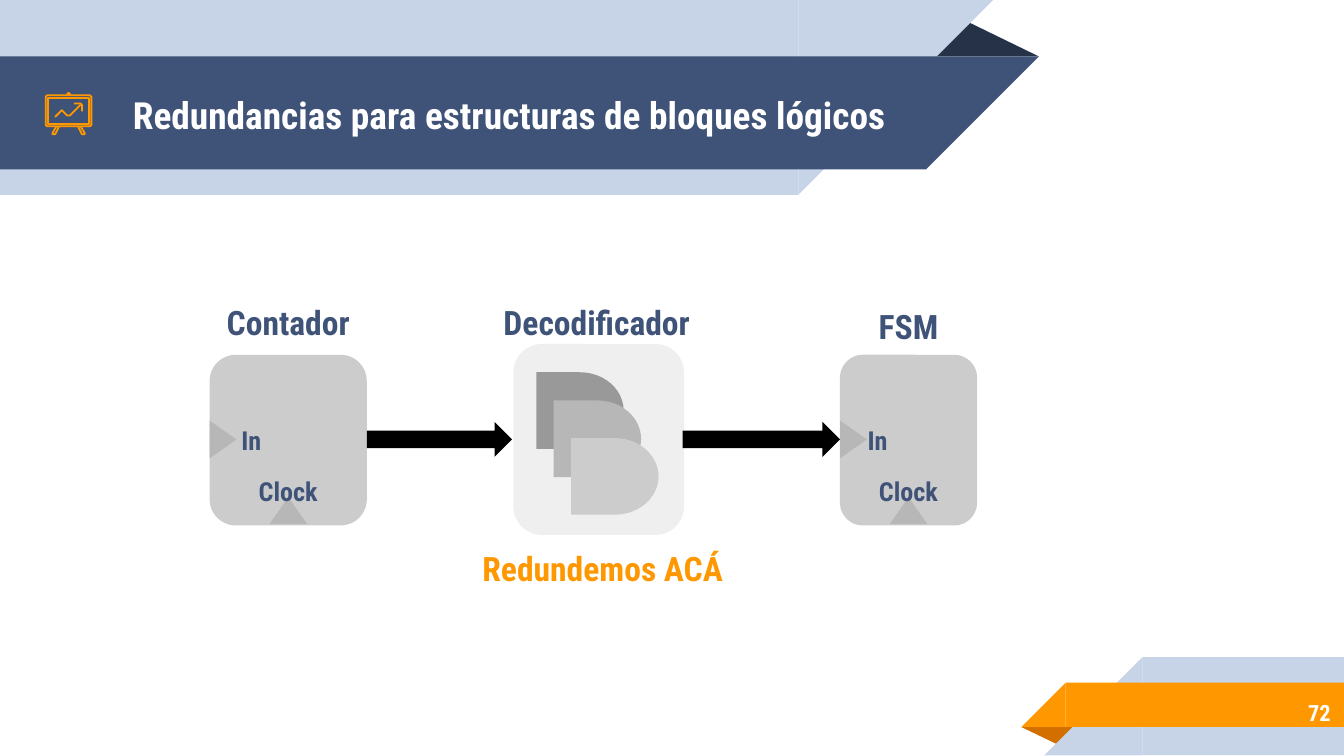
from dataclasses import dataclass

import pptx
import pptx.dml.color
import pptx.enum.shapes
import pptx.enum.text
import pptx.util

Inches = pptx.util.Inches
Kind = pptx.enum.shapes.MSO_SHAPE
Align = pptx.enum.text.PP_ALIGN


@dataclass(frozen=True)
class Theme:
    font: str = "Roboto Condensed"
    navy: str = "3F5378"
    dark_navy: str = "263248"
    pale_blue: str = "C7D3E6"
    orange: str = "FF9800"
    dark_orange: str = "D26F00"
    white: str = "FFFFFF"
    black: str = "000000"
    panel: str = "EFEFEF"
    block: str = "CCCCCC"
    pin: str = "B7B7B7"
    back_gate: str = "999999"
    title_size: int = 20
    heading_size: int = 18
    pin_size: int = 14
    number_size: int = 12
    icon_line: float = 0.96


THEME = Theme()


def rgb(color):
    return pptx.dml.color.RGBColor.from_string(color)


def add_filled(page, kind, left, top, width, height, color, rotation=0, adjust=None):
    shape = page.shapes.add_shape(
        kind, Inches(left), Inches(top), Inches(width), Inches(height))
    shape.shadow.inherit = False
    shape.fill.solid()
    shape.fill.fore_color.rgb = rgb(color)
    shape.line.fill.background()
    shape.rotation = rotation
    if adjust is not None:
        shape.adjustments[0] = adjust
    return shape


def add_text(page, text, left, top, width, height=0.35, *, size=THEME.heading_size,
             color=THEME.navy, align=Align.CENTER):
    box = page.shapes.add_textbox(
        Inches(left), Inches(top), Inches(width), Inches(height))
    frame = box.text_frame
    frame.word_wrap = True
    frame.vertical_anchor = pptx.enum.text.MSO_ANCHOR.MIDDLE
    frame.margin_left = frame.margin_right = Inches(0.1)
    frame.margin_top = frame.margin_bottom = Inches(0.1)
    para = frame.paragraphs[0]
    para.alignment = align
    span = para.add_run()
    span.text = text
    span.font.name = THEME.font
    span.font.size = pptx.util.Pt(size)
    span.font.bold = True
    span.font.color.rgb = rgb(color)


def add_top_band(page, top, width, height, color):
    """Band from the left edge whose right end slants in towards the bottom."""
    add_filled(page, Kind.RECTANGLE, 0, top, width, height, color)
    add_filled(page, Kind.RIGHT_TRIANGLE, width, top, height, height, color, rotation=90)


def add_bottom_band(page, left, top, height, color):
    """Band to the right edge whose left end slants in towards the top."""
    add_filled(page, Kind.RECTANGLE, left, top, 10 - left, height, color)
    add_filled(page, Kind.RIGHT_TRIANGLE, left - height, top, height, height, color,
               rotation=270)


def add_stroke(page, *points, close=False):
    """Orange open or closed outline through points given in hundredths of an inch."""
    builder = page.shapes.build_freeform(*points[0], scale=Inches(0.01))
    builder.add_line_segments(points[1:], close=close)
    shape = builder.convert_to_shape()
    shape.shadow.inherit = False
    shape.fill.background()
    shape.line.color.rgb = rgb(THEME.orange)
    shape.line.width = pptx.util.Pt(THEME.icon_line)


def add_board_icon(page):
    add_stroke(page, (67, 71), (35, 71), (34, 72), (34, 93), (35, 94), (67, 94),
               (68, 93), (68, 72), close=True)
    add_stroke(page, (50, 71), (50, 70), (51, 69), (52, 70), (52, 71))
    left_leg = ((42, 94), (39, 99), (39, 100), (40, 100), (41, 100), (44, 94))
    add_stroke(page, *left_leg)
    add_stroke(page, *((102 - x, y) for x, y in left_leg))
    add_stroke(page, (36, 73), (36, 92), (66, 92), (66, 73), close=True)
    add_stroke(page, (60, 78), (52, 86), (51, 86), (50, 86), (46, 82), (41, 87))
    add_stroke(page, (55, 77), (59, 77), (60, 77), (61, 78), (61, 83))


def add_clocked_block(page, name, left, width, name_top, input_left):
    """Block with its name above, an input pin at the left and a clock pin below."""
    center = left + width / 2
    add_filled(page, Kind.ROUNDED_RECTANGLE, left, 2.64, width, 1.27, THEME.block,
               adjust=0.167)
    add_filled(page, Kind.ISOSCELES_TRIANGLE, center - 0.14, 3.7, 0.28, 0.2, THEME.pin)
    add_filled(page, Kind.ISOSCELES_TRIANGLE, left - 0.04, 3.17, 0.28, 0.2, THEME.pin,
               rotation=90)
    add_text(page, name, center - 0.85, name_top, 1.7)
    add_text(page, "Clock", center - 0.36, 3.48, 0.72, size=THEME.pin_size)
    add_text(page, "In", input_left, 3.1, 0.4, size=THEME.pin_size)


def add_decoder(page):
    add_filled(page, Kind.ROUNDED_RECTANGLE, 3.82, 2.56, 1.27, 1.42, THEME.panel,
               adjust=0.167)
    gates = ((3.99, 2.77, THEME.back_gate), (4.12, 2.98, THEME.pin),
             (4.25, 3.26, THEME.block))
    for left, top, color in gates:
        add_filled(page, Kind.FLOWCHART_DELAY, left, top, 0.65, 0.57, color)
    add_text(page, "Decodificador", 3.45, 2.22, 1.98)
    add_text(page, "Redundemos ACÁ", 3.37, 4.05, 2.23, color=THEME.orange)


def add_header(page):
    add_filled(page, Kind.ISOSCELES_TRIANGLE, 6.88, 0.14, 0.85, 0.28, THEME.dark_navy,
               adjust=0.324)
    add_top_band(page, 0, 5.94, 1.45, THEME.pale_blue)
    add_top_band(page, 0.42, 6.89, 0.84, THEME.navy)
    add_text(page, "Redundancias para estructuras de bloques lógicos",
             0.89, 0.43, 5.98, 0.84, size=THEME.title_size, color=THEME.white,
             align=Align.LEFT)
    add_board_icon(page)


def add_footer(page):
    add_filled(page, Kind.ISOSCELES_TRIANGLE, 7.6, 5.41, 0.43, 0.14, THEME.dark_orange,
               rotation=180, adjust=0.324)
    add_bottom_band(page, 8.5, 4.89, 0.73, THEME.pale_blue)
    add_bottom_band(page, 7.93, 5.08, 0.33, THEME.orange)
    add_text(page, "72", 8.37, 5.13, 1.63, size=THEME.number_size, color=THEME.white,
             align=Align.RIGHT)


def main():
    deck = pptx.Presentation()
    deck.slide_width = Inches(10)
    deck.slide_height = deck.slide_width * 9 // 16
    page = deck.slides.add_slide(deck.slide_layouts[6])
    add_header(page)
    add_footer(page)
    add_decoder(page)
    add_clocked_block(page, "Contador", 1.56, 1.17, 2.22, 1.67)
    add_clocked_block(page, "FSM", 6.25, 1.02, 2.25, 6.33)
    for left, width in ((2.73, 1.08), (5.08, 1.17)):
        add_filled(page, Kind.RIGHT_ARROW, left, 3.14, width, 0.26, THEME.black)
    deck.save("out.pptx")


if __name__ == "__main__":
    main()
